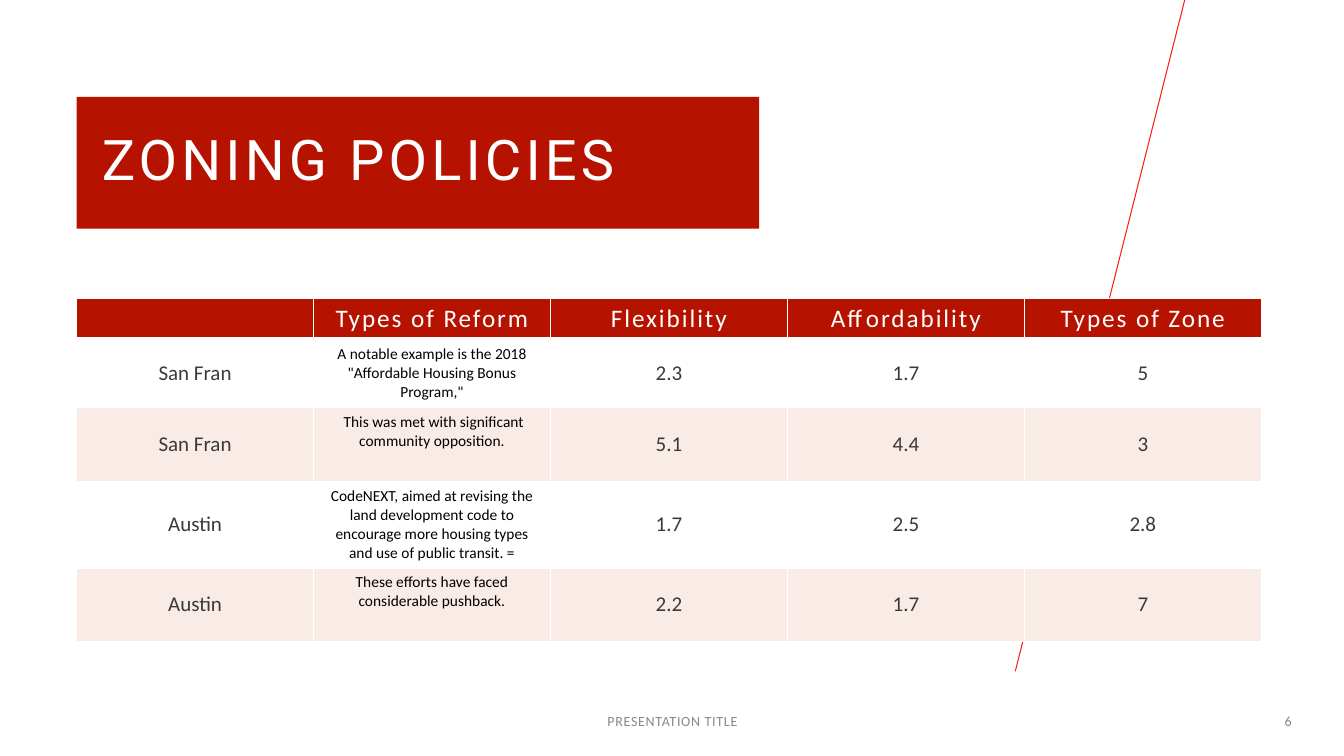
from lxml import etree
from pptx import Presentation
from pptx.dml.color import RGBColor
from pptx.enum.shapes import MSO_CONNECTOR, MSO_SHAPE
from pptx.enum.text import MSO_ANCHOR, PP_ALIGN
from pptx.oxml.ns import qn
from pptx.util import Inches, Pt

RED = RGBColor(0xB5, 0x12, 0x00)
LINE_RED = RGBColor(0xFD, 0x1B, 0x17)
WHITE = RGBColor(0xFF, 0xFF, 0xFF)
BLUSH = RGBColor(0xF9, 0xEB, 0xE5)
DARK = RGBColor(0x3A, 0x3A, 0x3A)
BLACK = RGBColor(0x00, 0x00, 0x00)
GRAY = RGBColor(0x89, 0x89, 0x89)
LEFT, CENTER, RIGHT = PP_ALIGN.LEFT, PP_ALIGN.CENTER, PP_ALIGN.RIGHT
TOP, MIDDLE = MSO_ANCHOR.TOP, MSO_ANCHOR.MIDDLE
STRAIGHT = MSO_CONNECTOR.STRAIGHT
RECTANGLE = MSO_SHAPE.RECTANGLE

POLICIES = [
    ["", "Types of Reform", "Flexibility", "Affordability", "Types of Zone"],
    ["San Fran", 'A notable example is the 2018 "Affordable Housing Bonus Program,"',
     "2.3", "1.7", "5"],
    ["San Fran", " This was met with significant community opposition.",
     "5.1", "4.4", "3"],
    ["Austin", "CodeNEXT, aimed at revising the land development code to encourage "
     "more housing types and use of public transit. =", "1.7", "2.5", "2.8"],
    ["Austin", "These efforts have faced considerable pushback.",
     "2.2", "1.7", "7"],
]
ROW_HEIGHTS = [0.39, 0.68, 0.73, 0.86, 0.73]
COLUMN_WIDTH = 2.35
REFORM_COLUMN = 1


class ZoningSlide:
    body_font = "Calibri"
    title_font = "Roboto"

    def __init__(self, deck):
        self.slide = deck.slides.add_slide(deck.slide_layouts[6])
        self.shapes = self.slide.shapes

    def set_text(self, frame, text, size, color, align, spacing=0, font=None):
        frame.word_wrap = True
        paragraph = frame.paragraphs[0]
        paragraph.alignment = align
        paragraph.font.size = Pt(size)
        paragraph.font.name = font or self.body_font
        paragraph.font.color.rgb = color
        paragraph.font.bold = False
        if text:
            run = paragraph.add_run()
            run.text = text
            if spacing:
                run._r.get_or_add_rPr().set("spc", str(round(spacing * 100)))
        return paragraph

    def line(self, x1, y1, x2, y2):
        slant = self.shapes.add_connector(
            STRAIGHT, Inches(x1), Inches(y1), Inches(x2), Inches(y2))
        slant.line.color.rgb = LINE_RED
        slant.line.width = Pt(0.75)
        etree.SubElement(slant._element.spPr, qn("a:effectLst"))

    def title(self, text, x, y, width, height):
        banner = self.shapes.add_shape(
            RECTANGLE, Inches(x), Inches(y), Inches(width), Inches(height))
        banner.shadow.inherit = False
        banner.fill.solid()
        banner.fill.fore_color.rgb = RED
        banner.line.fill.background()
        frame = banner.text_frame
        frame.vertical_anchor = MIDDLE
        frame.margin_left = Inches(0.25)
        heading = self.set_text(frame, text, 40, WHITE, LEFT, 3, self.title_font)
        heading.line_spacing = 0.9

    def label(self, text, x, y, width, height, align, spacing=0):
        box = self.shapes.add_textbox(
            Inches(x), Inches(y), Inches(width), Inches(height))
        box.text_frame.vertical_anchor = MIDDLE
        self.set_text(box.text_frame, text, 10, GRAY, align, spacing)

    def borders(self, cell, bottom):
        properties = cell._tc.get_or_add_tcPr()
        widths = {"lnL": 1, "lnR": 1, "lnT": 1, "lnB": bottom}
        for position, (side, width) in enumerate(widths.items()):
            edge = etree.Element(qn(f"a:{side}"), w=str(Pt(width)))
            fill = etree.SubElement(edge, qn("a:solidFill"))
            etree.SubElement(fill, qn("a:srgbClr"), val=str(WHITE))
            properties.insert(position, edge)

    def table(self, rows, heights, column_width, x, y):
        columns = len(rows[0])
        grid = self.shapes.add_table(
            len(rows), columns, Inches(x), Inches(y),
            Inches(column_width * columns), Inches(sum(heights))).table
        for column in grid.columns:
            column.width = Inches(column_width)
        for r, (values, height) in enumerate(zip(rows, heights)):
            grid.rows[r].height = Inches(height)
            for c, value in enumerate(values):
                self.cell(grid.cell(r, c), value, r, c)

    def cell(self, cell, value, r, c):
        header = r == 0
        reform = c == REFORM_COLUMN and not header
        cell.vertical_anchor = TOP if reform else MIDDLE
        cell.fill.solid()
        cell.fill.fore_color.rgb = RED if header else WHITE if r % 2 else BLUSH
        self.borders(cell, 3 if header else 1)
        if header:
            size, color, spacing = 18, WHITE, 1.4
        elif reform:
            size, color, spacing = 11, BLACK, 0
        else:
            size, color, spacing = 15, DARK, 0
        self.set_text(cell.text_frame, value, size, color, CENTER, spacing)


def main():
    deck = Presentation()
    deck.slide_width = Inches(13.33)
    deck.slide_height = Inches(7.5)
    zoning = ZoningSlide(deck)
    zoning.line(11.75, 0, 10.07, 6.66)
    zoning.title("ZONING POLICIES", 0.76, 0.96, 6.77, 1.31)
    zoning.table(POLICIES, ROW_HEIGHTS, COLUMN_WIDTH, 0.76, 2.96)
    zoning.label("PRESENTATION TITLE", 4.42, 6.95, 4.5, 0.4, CENTER, 0.5)
    zoning.label("6", 11.23, 6.95, 1.68, 0.4, RIGHT)
    deck.save("out.pptx")


if __name__ == "__main__":
    main()
